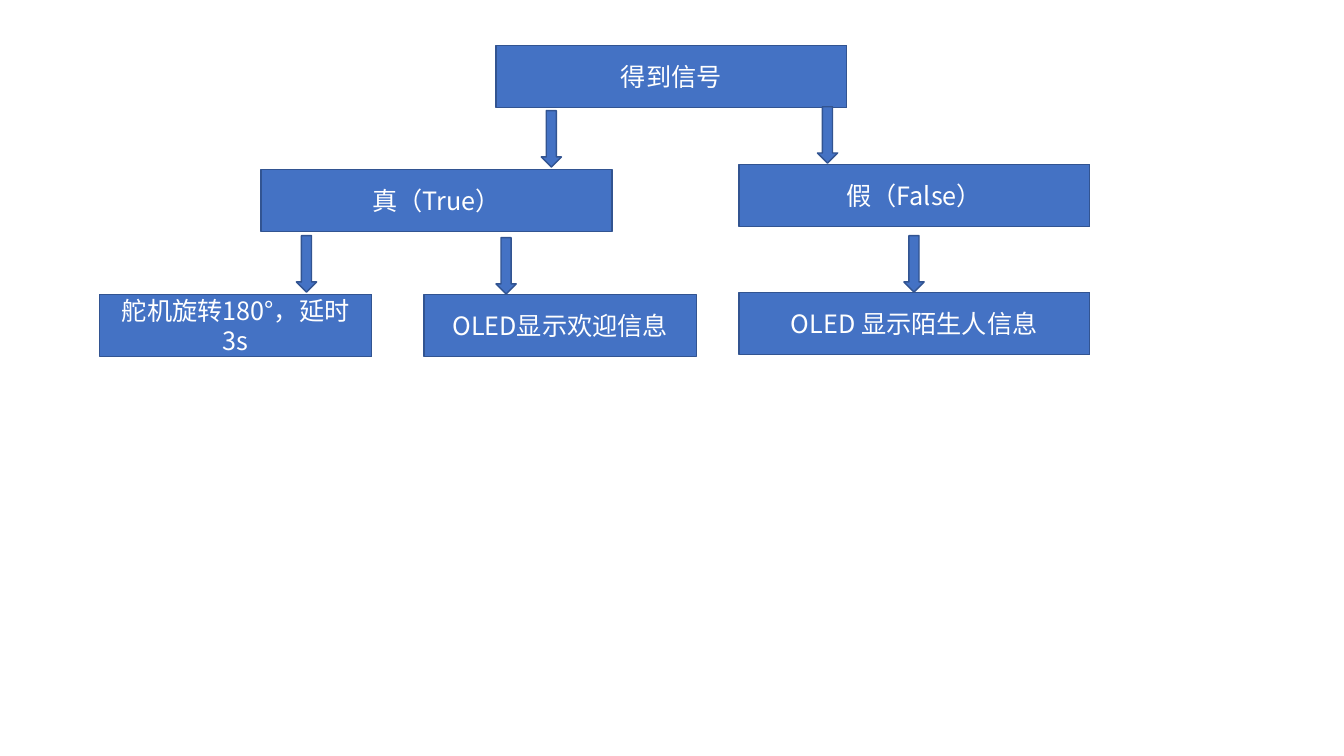
from dataclasses import dataclass

from lxml import etree
from pptx import Presentation
from pptx.dml.color import RGBColor
from pptx.enum.shapes import MSO_SHAPE
from pptx.enum.text import MSO_ANCHOR, PP_ALIGN
from pptx.oxml.ns import qn
from pptx.util import Cm, Pt

COLORS = {"fill": "4472C4", "line": "325491", "text": "FFFFFF"}
FONT = "Noto Sans CJK SC"
WIDE, NARROW, BOX_HEIGHT = 8.84, 6.86, 1.57
ARROW_WIDTH, ARROW_HEIGHT = 0.51, 1.42


@dataclass(frozen=True)
class Step:
    """A process box; lengths in centimetres."""
    text: str
    left: float
    top: float
    width: float = WIDE


@dataclass(frozen=True)
class Arrow:
    """A down arrow; lengths in centimetres."""
    left: float
    top: float


STEPS = [
    Step("得到信号", 12.5, 1.14),
    Step("真（True）", 6.58, 4.27),
    Step("假（False）", 18.62, 4.14),
    Step("舵机旋转180°，延时3s", 2.51, 7.42, NARROW),
    Step("OLED显示欢迎信息", 10.69, 7.42, NARROW),
    Step("OLED 显示陌生人信息", 18.62, 7.37),
]
ARROWS = [
    Arrow(13.64, 2.79),
    Arrow(20.6, 2.69),
    Arrow(7.47, 5.94),
    Arrow(12.5, 5.99),
    Arrow(22.78, 5.94),
]


def add_block(slide, kind: MSO_SHAPE, left: float, top: float,
              width: float, height: float):
    """Add a filled, outlined shape without a shadow."""
    shape = slide.shapes.add_shape(kind, Cm(left), Cm(top), Cm(width), Cm(height))
    shape.shadow.inherit = False
    shape.fill.solid()
    shape.fill.fore_color.rgb = RGBColor.from_string(COLORS["fill"])
    shape.line.color.rgb = RGBColor.from_string(COLORS["line"])
    shape.line.width = Pt(1)
    return shape


def draw_step(slide, step: Step) -> None:
    """Draw a process box with its centred label."""
    box = add_block(slide, MSO_SHAPE.FLOWCHART_PROCESS,
                    step.left, step.top, step.width, BOX_HEIGHT)
    frame = box.text_frame
    frame.word_wrap = True
    frame.vertical_anchor = MSO_ANCHOR.MIDDLE
    paragraph = frame.paragraphs[0]
    paragraph.alignment = PP_ALIGN.CENTER
    run = paragraph.add_run()
    run.text = step.text
    font = run.font
    font.size = Pt(18)
    font.color.rgb = RGBColor.from_string(COLORS["text"])
    font.name = FONT
    properties = run._r.get_or_add_rPr()
    etree.SubElement(properties, qn("a:ea"), typeface=FONT)


def draw_arrow(slide, arrow: Arrow) -> None:
    """Draw a down arrow between two levels."""
    add_block(slide, MSO_SHAPE.DOWN_ARROW, arrow.left, arrow.top,
              ARROW_WIDTH, ARROW_HEIGHT)


def main() -> None:
    """Build the signal flowchart and save it."""
    deck = Presentation()
    deck.slide_width, deck.slide_height = Cm(33.87), Cm(19.05)
    slide = deck.slides.add_slide(deck.slide_layouts[6])
    for step in STEPS:
        draw_step(slide, step)
    for arrow in ARROWS:
        draw_arrow(slide, arrow)
    deck.save("out.pptx")


main()
